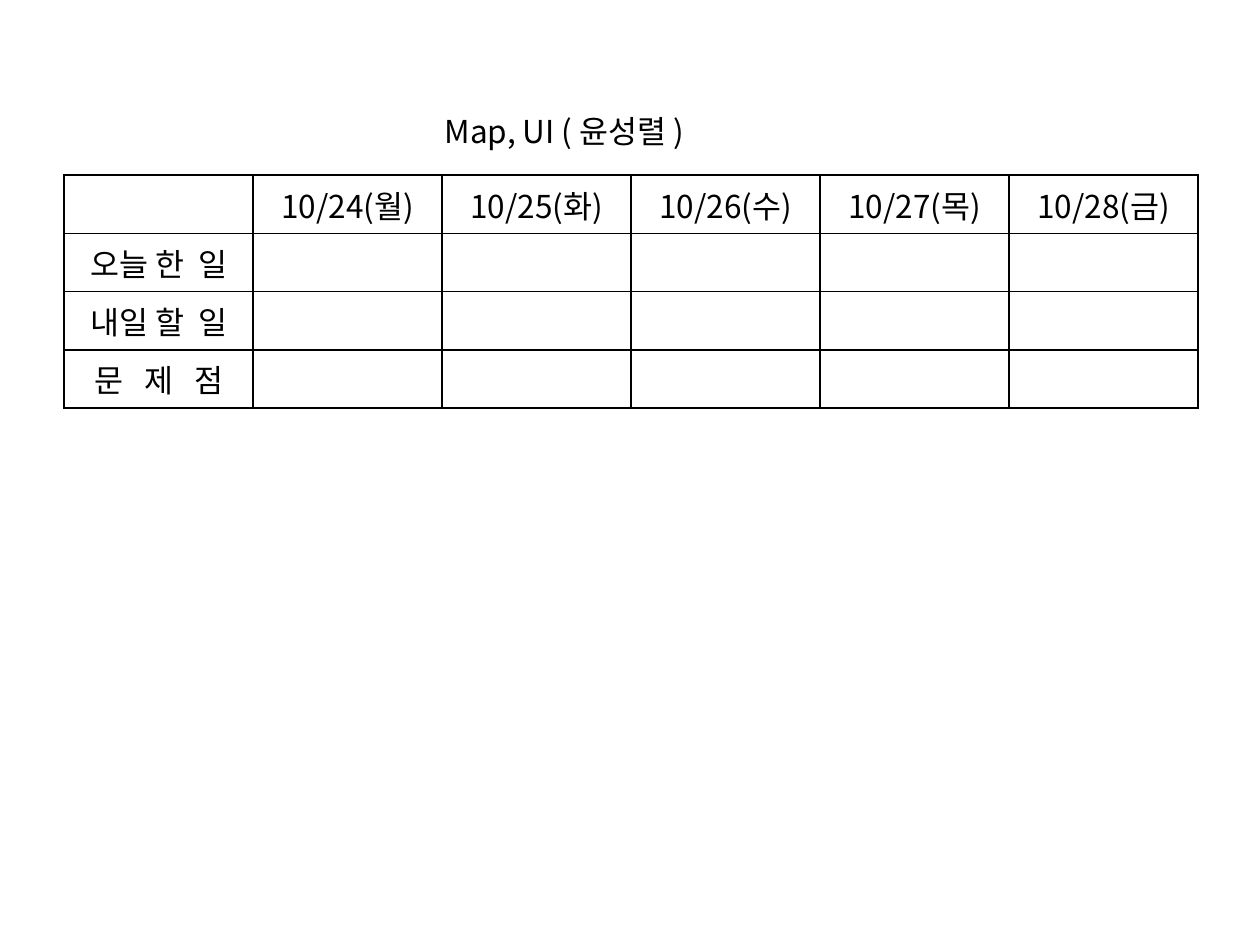
from lxml.etree import SubElement
from pptx import Presentation
from pptx.dml.color import RGBColor
from pptx.enum.text import MSO_AUTO_SIZE, PP_ALIGN
from pptx.oxml.ns import qn
from pptx.util import Inches, Pt

COLORS = {"ink": "000000"}
FONT = "Noto Sans CJK KR"
DAYS = ["10/24(월)", "10/25(화)", "10/26(수)", "10/27(목)", "10/28(금)"]
TOPICS = ["오늘 한  일", "내일 할  일", "문   제   점"]


def style_font(font):
    font.size = Pt(18)
    font.name = FONT
    font.color.rgb = RGBColor.from_string(COLORS["ink"])


def add_text(paragraph, text):
    run = paragraph.add_run()
    run.text = text
    style_font(run.font)
    # Hangul takes the East Asian typeface
    SubElement(run.font._element, qn("a:ea"), typeface=FONT)


def add_borders(cell):
    properties = cell._tc.get_or_add_tcPr()
    for side in ("lnL", "lnR", "lnT", "lnB"):
        line = SubElement(properties, qn(f"a:{side}"), w=str(Pt(1)))
        fill = SubElement(line, qn("a:solidFill"))
        SubElement(fill, qn("a:srgbClr"), val=COLORS["ink"])


def add_heading(slide, left, top, width, height):
    heading = slide.shapes.add_textbox(left, top, width, height).text_frame
    heading.word_wrap = False
    heading.auto_size = MSO_AUTO_SIZE.SHAPE_TO_FIT_TEXT
    add_text(heading.paragraphs[0], "Map, UI ( 윤성렬 )")


def add_schedule(slide, left, top, width, height):
    rows = [["", *DAYS]] + [[topic] + [""] * len(DAYS) for topic in TOPICS]
    schedule = slide.shapes.add_table(
        len(rows), len(rows[0]), left, top, width, height).table
    schedule.first_row = schedule.horz_banding = False
    for r, labels in enumerate(rows):
        for c, label in enumerate(labels):
            cell = schedule.cell(r, c)
            add_borders(cell)
            cell.fill.background()
            paragraph = cell.text_frame.paragraphs[0]
            paragraph.alignment = PP_ALIGN.CENTER
            if label:
                add_text(paragraph, label)


def main():
    prs = Presentation()
    prs.slide_width, prs.slide_height = Inches(10), Inches(7.5)
    slide = prs.slides.add_slide(prs.slide_layouts[6])
    # Weekly schedule
    add_schedule(slide, Inches(0.51), Inches(1.39), Inches(9), Inches(1.62))
    # Team heading above it
    add_heading(slide, Inches(3.43), Inches(0.84), Inches(2.29), Inches(0.4))
    prs.save("out.pptx")


if __name__ == "__main__":
    main()
